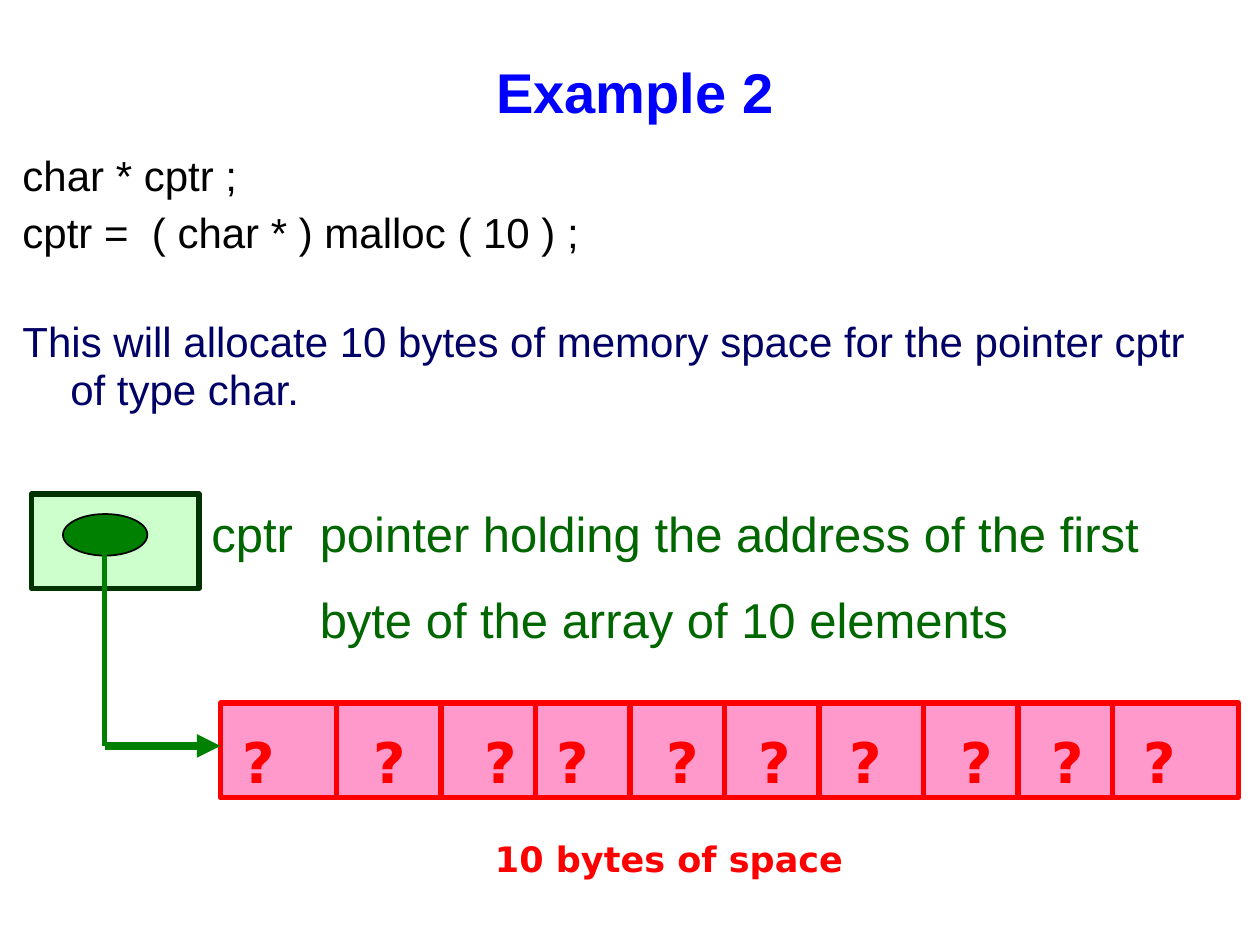
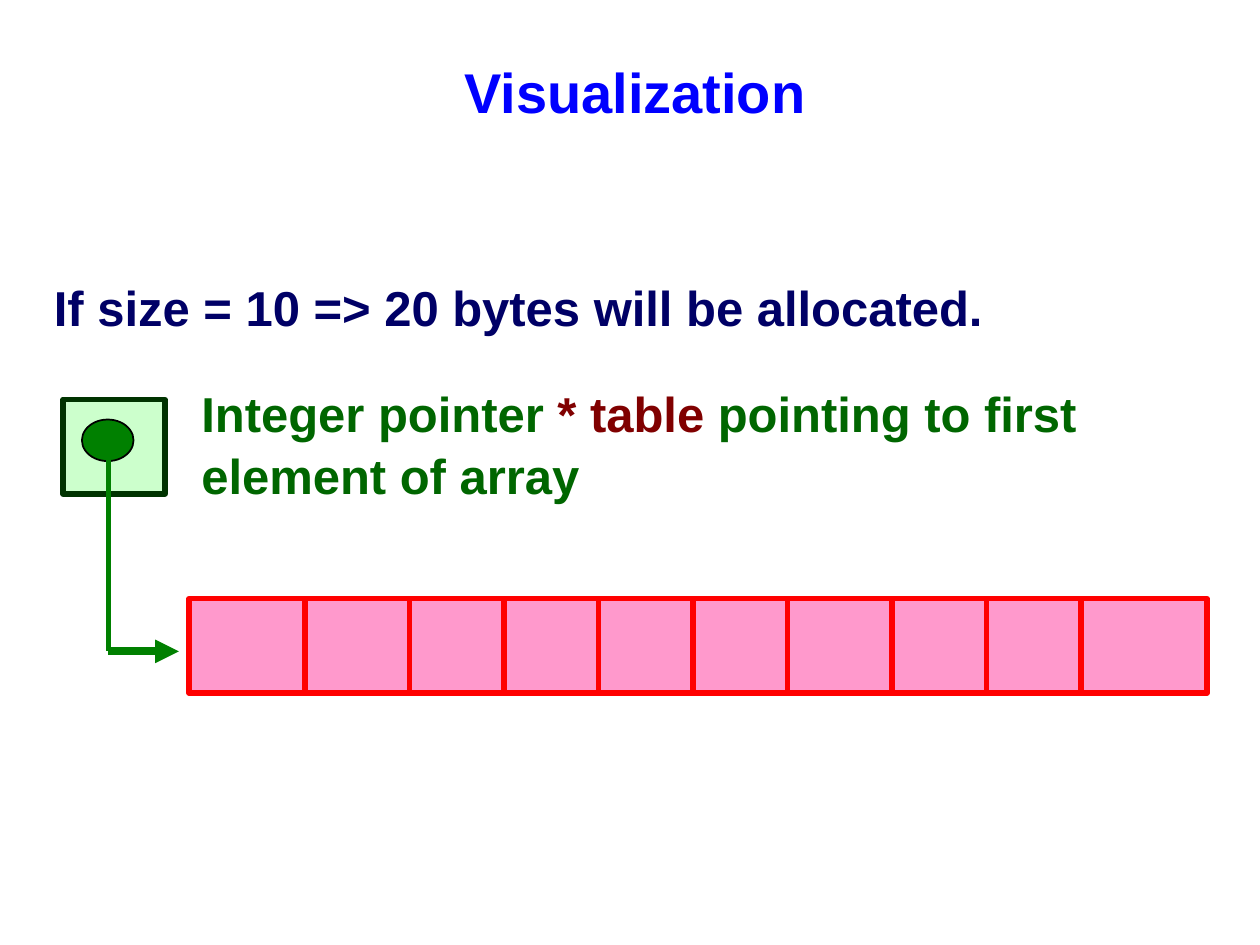
from itertools import accumulate
from lxml import etree
from pptx import Presentation
from pptx.dml.color import RGBColor
from pptx.enum import shapes, text
from pptx.oxml.ns import qn
from pptx.util import Inches, Pt

COLORS = dict(title="0000FF", code="000000", note="000066", label="006600",
              name="800000", cell="FF99CC", byte="FF0000", box="CCFFCC",
              box_edge="003300", pointer="008000", pointer_edge="000000")
SANS, MONO = "Arial", "DejaVu Sans"

CODE = [("char * cptr ;", "code", 4.8),
        ("cptr =  ( char * ) malloc ( 10 ) ;", "code", 4.8),
        ("This will allocate 10 bytes of memory space for the pointer cptr "
         "of type char.", "note", 35)]
CPTR_LINES = ["cptr\tpointer holding the address of the first",
              "byte of the array of 10 elements"]
SPACES_BETWEEN_MARKS = [5, 4, 2, 4, 3, 3, 4, 3, 3]
MARK_WIDTH, SPACE_WIDTH = 0.26, 0.155
TABLE_LABEL = [("Integer pointer ", "label"), ("* table", "name"),
               (" pointing to first element of array", "label")]
CELL_WIDTHS = [0.92, 0.83, 0.75, 0.75, 0.75, 0.75, 0.83, 0.75, 0.75, 1.0]
ARRAY_WIDTH, ROW_HEIGHT = 8.08, 0.75


def rgb(key):
    return RGBColor.from_string(COLORS[key])


def add_text(slide, at, paragraphs, size, font=SANS, bold=False, spacing=1.05):
    frame = slide.shapes.add_textbox(*map(Inches, at)).text_frame
    frame.word_wrap = True
    for i, runs in enumerate(paragraphs):
        para = frame.add_paragraph() if i else frame.paragraphs[0]
        para.line_spacing = spacing
        for words, color in runs:
            run = para.add_run()
            run.text = words
            run.font.name, run.font.size, run.font.bold = font, Pt(size), bold
            run.font.color.rgb = rgb(color)
    return frame


def set_indent(para, left, first=0):
    props = para._p.get_or_add_pPr()
    props.set("marL", str(Inches(left)))
    props.set("indent", str(Inches(first)))


def set_tabs(para, stops):
    tabs = etree.SubElement(para._p.get_or_add_pPr(), qn("a:tabLst"))
    for stop in stops:
        etree.SubElement(tabs, qn("a:tab"), pos=str(Inches(stop)), algn="l")


def add_shape(slide, kind, at, fill, edge, weight):
    shape = slide.shapes.add_shape(kind, *map(Inches, at))
    shape.shadow.inherit = False
    shape.fill.solid()
    shape.fill.fore_color.rgb = rgb(fill)
    shape.line.color.rgb = rgb(edge)
    shape.line.width = Pt(weight)


def add_line(slide, start, end, color, weight, arrow=False):
    line = slide.shapes.add_connector(shapes.MSO_CONNECTOR.STRAIGHT,
                                      *map(Inches, start + end))
    line.line.color.rgb = rgb(color)
    line.line.width = Pt(weight)
    if arrow:
        etree.SubElement(line.line._get_or_add_ln(), qn("a:tailEnd"), type="triangle")
    etree.SubElement(line._element.spPr, qn("a:effectLst"))


def add_array(slide, left, top):
    add_shape(slide, shapes.MSO_SHAPE.RECTANGLE,
              (left, top, ARRAY_WIDTH, ROW_HEIGHT), "cell", "byte", 3)
    for offset in accumulate(CELL_WIDTHS[:-1]):
        x = left + offset
        add_line(slide, (x, top), (x, top + ROW_HEIGHT), "byte", 3)


def add_pointer(slide, left, top, width, dot_left, dot_width, stem, tip):
    add_shape(slide, shapes.MSO_SHAPE.RECTANGLE,
              (left, top, width, ROW_HEIGHT), "box", "box_edge", 3)
    add_shape(slide, shapes.MSO_SHAPE.OVAL,
              (dot_left, top + 0.16, dot_width, 0.33), "pointer", "pointer_edge", 1)
    corner = (stem, top + 2)
    add_line(slide, (stem, top + 0.33), corner, "pointer", 3)
    add_line(slide, corner, (tip, top + 2), "pointer", 4.5, arrow=True)


def add_titled_slide(title):
    slide = deck.slides.add_slide(deck.slide_layouts[6])
    frame = add_text(slide, (1.58, 0.17, 6.92, 1.08), [[(title, "title")]], 32, bold=True)
    frame.vertical_anchor = text.MSO_ANCHOR.MIDDLE
    frame.paragraphs[0].alignment = text.PP_ALIGN.CENTER
    return slide


deck = Presentation()
deck.slide_width, deck.slide_height = Inches(10), Inches(7.5)

example = add_titled_slide("Example 2")
code = add_text(example, (0.08, 1.17, 9.75, 1.58),
                [[(words, color)] for words, color, _ in CODE], 24, spacing=0.95)
for para, (_, _, before) in zip(code.paragraphs, CODE):
    para.space_before = Pt(before)
    set_indent(para, 0.38, -0.38)
add_array(example, 1.75, 5.58)
add_text(example, (3.83, 6.58, 3.5, 0.43), [[("10 bytes of space", "byte")]],
         20, MONO, True)
add_pointer(example, 0.25, 3.92, 1.33, 0.5, 0.67, 0.83, 1.75)
cptr = add_text(example, (1.58, 3.92, 8, 1.27),
                [[(line, "label")] for line in CPTR_LINES], 28)
first, second = cptr.paragraphs
set_indent(first, 0.86, -0.86)
set_tabs(first, [0.86])
set_indent(second, 0.86)
second.space_before = Pt(14)
marks = add_text(example, (1.83, 5.7, 7.75, 0.63),
                 [[("\t".join("?" * len(CELL_WIDTHS)), "byte")]], 32, MONO, True)
set_tabs(marks.paragraphs[0], accumulate(
    MARK_WIDTH + SPACE_WIDTH * count for count in SPACES_BETWEEN_MARKS))

visual = add_titled_slide("Visualization")
add_array(visual, 1.5, 4.75)
add_text(visual, (0.33, 2.13, 7.83, 0.57),
         [[("If size = 10 => 20 bytes will be allocated.", "note")]], 28, bold=True)
add_pointer(visual, 0.5, 3.17, 0.81, 0.65, 0.41, 0.86, 1.42)
add_text(visual, (1.5, 2.97, 8.5, 1.03), [TABLE_LABEL], 28, bold=True)

deck.save("out.pptx")
